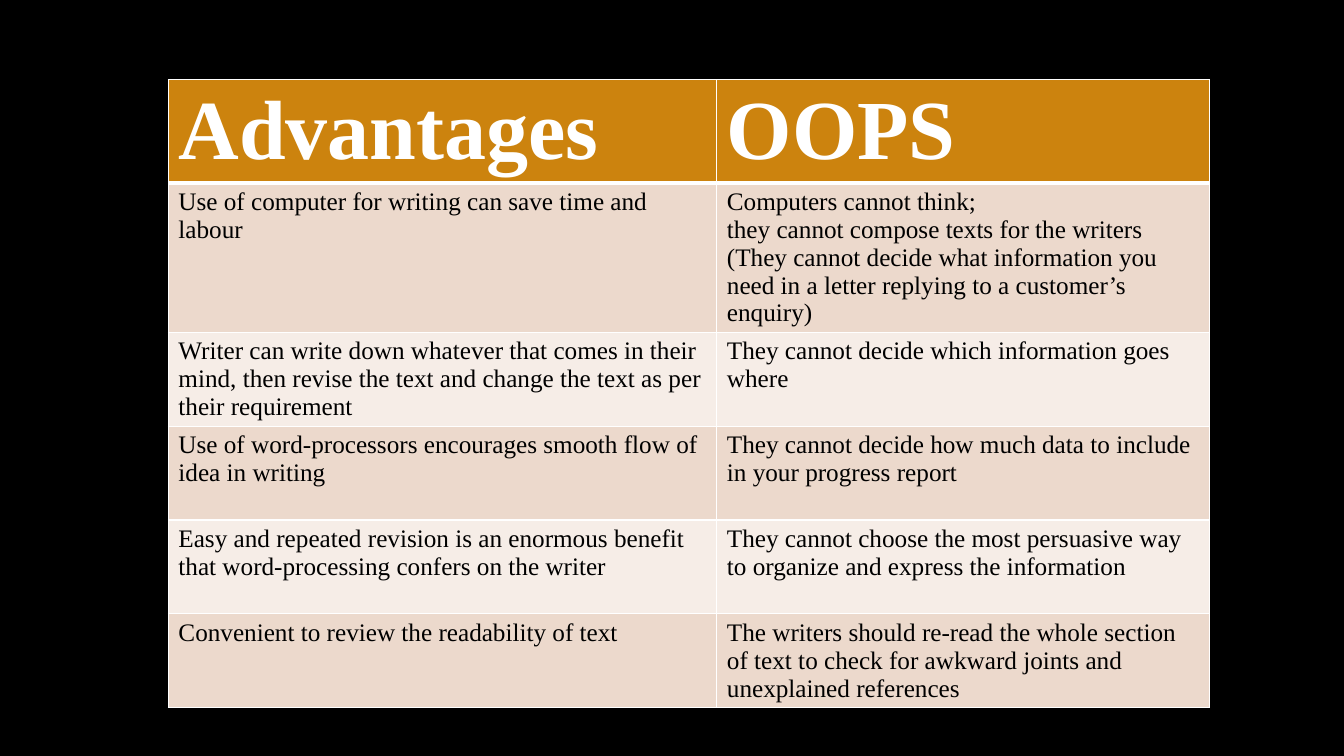
import pptx
import pptx.dml.color
import pptx.oxml
import pptx.oxml.ns
import pptx.util
from dataclasses import dataclass

Inches = pptx.util.Inches
Color = pptx.dml.color.RGBColor.from_string


@dataclass(frozen=True)
class Theme:
    font: str = "Times New Roman"
    background: str = "000000"
    header_fill: str = "CC830E"
    band_fills: tuple = ("ECD9CC", "F6EDE7")
    header_text: str = "FFFFFF"
    body_text: str = "000000"
    border: str = "FFFFFF"
    header_size: int = 60
    body_size: int = 18
    thin_line: int = 1
    thick_line: int = 3


theme = Theme()

ROWS = [
    ("Advantages", "OOPS"),
    ("Use of computer for writing can save time and labour",
     "Computers cannot think;\n"
     "they cannot compose texts for the writers (They cannot decide what "
     "information you need in a letter replying to a customer’s enquiry)"),
    ("Writer can write down whatever that comes in their mind, then revise "
     "the text and change the text as per their requirement",
     "They cannot decide which information goes where"),
    ("Use of word-processors encourages smooth flow of idea in writing",
     "They cannot decide how much data to include in your progress report"),
    ("Easy and repeated revision is an enormous benefit that word-processing "
     "confers on the writer",
     "They cannot choose the most persuasive way to organize and express "
     "the information"),
    ("Convenient to review the readability of text",
     "The writers should re-read the whole section of text to check for "
     "awkward joints and unexplained references"),
]
COLUMN_WIDTHS = (5.44, 4.89)
ROW_HEIGHT = 0.93


def add_border(cell, side, points):
    """Draw one edge of a cell; call in the order L, R, T, B, before the fill."""
    line = pptx.oxml.parse_xml(
        f'<a:ln{side} {pptx.oxml.ns.nsdecls("a")} w="{pptx.util.Pt(points)}">'
        f'<a:solidFill><a:srgbClr val="{theme.border}"/></a:solidFill></a:ln{side}>')
    cell._tc.get_or_add_tcPr().append(line)


presentation = pptx.Presentation()
presentation.slide_width = Inches(13.33)
presentation.slide_height = Inches(7.5)
slide = presentation.slides.add_slide(presentation.slide_layouts.get_by_name("Blank"))
slide.background.fill.solid()
slide.background.fill.fore_color.rgb = Color(theme.background)

table = slide.shapes.add_table(
    len(ROWS), len(COLUMN_WIDTHS), Inches(1.67), Inches(0.79),
    Inches(sum(COLUMN_WIDTHS)), Inches(ROW_HEIGHT * len(ROWS))).table
table.horz_banding = False
for column, width in zip(table.columns, COLUMN_WIDTHS):
    column.width = Inches(width)

for row_index, texts in enumerate(ROWS):
    table.rows[row_index].height = Inches(ROW_HEIGHT)
    is_header = row_index == 0
    fill_color = theme.header_fill if is_header else theme.band_fills[(row_index - 1) % 2]
    text_color = theme.header_text if is_header else theme.body_text
    font_format = {
        "name": theme.font,
        "size": pptx.util.Pt(theme.header_size if is_header else theme.body_size),
        "bold": is_header,
    }
    borders = {
        "L": theme.thin_line,
        "R": theme.thin_line,
        "T": theme.thick_line if row_index == 1 else theme.thin_line,
        "B": theme.thick_line if is_header else theme.thin_line,
    }
    for column_index, text in enumerate(texts):
        cell = table.cell(row_index, column_index)
        for side, points in borders.items():
            add_border(cell, side, points)
        cell.fill.solid()
        cell.fill.fore_color.rgb = Color(fill_color)
        cell.text = text
        for paragraph in cell.text_frame.paragraphs:
            for run in paragraph.runs:
                for attribute, value in font_format.items():
                    setattr(run.font, attribute, value)
                run.font.color.rgb = Color(text_color)

presentation.save("out.pptx")
